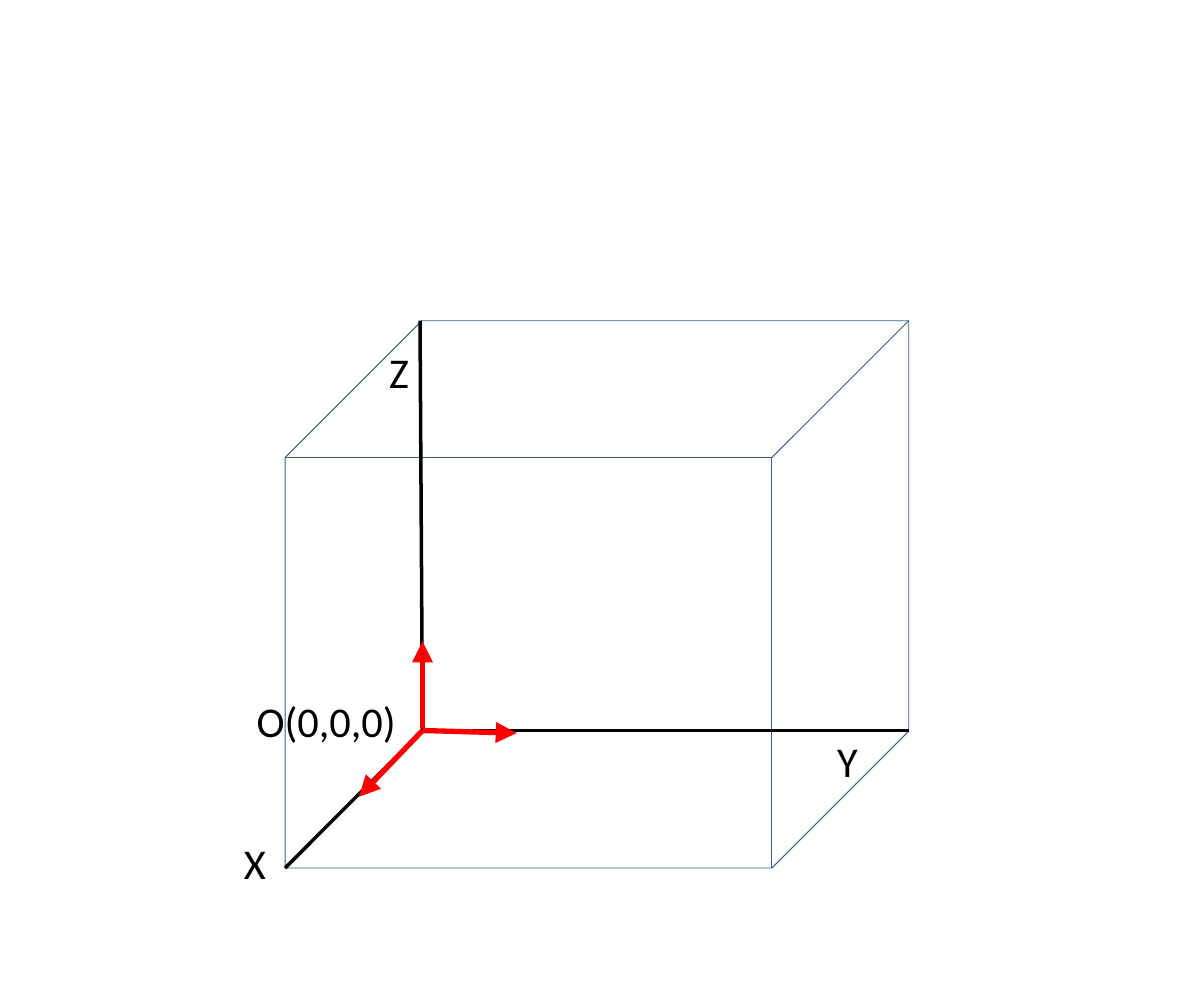
"""Build a slide with a cube, its X, Y and Z axes and unit vectors at the origin."""
from lxml import etree
from pptx import Presentation
from pptx.dml.color import RGBColor
from pptx.enum.shapes import MSO_CONNECTOR, MSO_SHAPE
from pptx.enum.text import MSO_AUTO_SIZE
from pptx.oxml.ns import qn
from pptx.util import Inches, Pt

CUBE = MSO_SHAPE.CUBE
STRAIGHT = MSO_CONNECTOR.STRAIGHT
FIT_SHAPE = MSO_AUTO_SIZE.SHAPE_TO_FIT_TEXT
BLACK = RGBColor(0x00, 0x00, 0x00)
RED = RGBColor(0xFF, 0x00, 0x00)
BLUE = RGBColor(0x3A, 0x5F, 0x8C)

prs = Presentation()
prs.slide_width, prs.slide_height = Inches(4.73), Inches(3.94)
s = prs.slides.add_slide(prs.slide_layouts[6])

cube = s.shapes.add_shape(CUBE, Inches(1.12), Inches(1.26), Inches(2.45), Inches(2.15))
cube.shadow.inherit = False
cube.fill.background()
cube.line.color.rgb = BLUE
cube.line.width = Pt(0.25)


def add_line(start, end, color, width):
    line = s.shapes.add_connector(STRAIGHT, *map(Inches, start + end))
    line.line.color.rgb = color
    line.line.width = Pt(width)
    etree.SubElement(line._element.spPr, qn("a:effectLst"))
    return line


axes = [
    ((1.65, 2.87), (3.57, 2.87)),
    ((1.65, 1.26), (1.66, 2.88)),
    ((1.66, 2.87), (1.12, 3.41)),
]
for start, end in axes:
    add_line(start, end, BLACK, 1)

vectors = [
    ((1.66, 2.87), (2.03, 2.88)),
    ((1.66, 2.86), (1.66, 2.52)),
    ((1.66, 2.87), (1.41, 3.13)),
]
for start, end in vectors:
    arrow = add_line(start, end, RED, 1.5)
    etree.SubElement(arrow.line._get_or_add_ln(), qn("a:tailEnd"), type="triangle")

labels = [
    ("Y", 3.19, 2.84, 0.29),
    ("X", 0.86, 3.24, 0.29),
    ("Z", 1.43, 1.31, 0.29),
    ("O(0,0,0)", 0.91, 2.68, 0.76),
]
label_font = {"name": "Calibri", "size": Pt(12)}
for text, left, top, width in labels:
    tf = s.shapes.add_textbox(Inches(left), Inches(top), Inches(width), Inches(0.3)).text_frame
    tf.word_wrap = False
    tf.auto_size = FIT_SHAPE
    r = tf.paragraphs[0].add_run()
    r.text = text
    for name, value in label_font.items():
        setattr(r.font, name, value)
    r.font.color.rgb = BLACK

prs.save("out.pptx")
